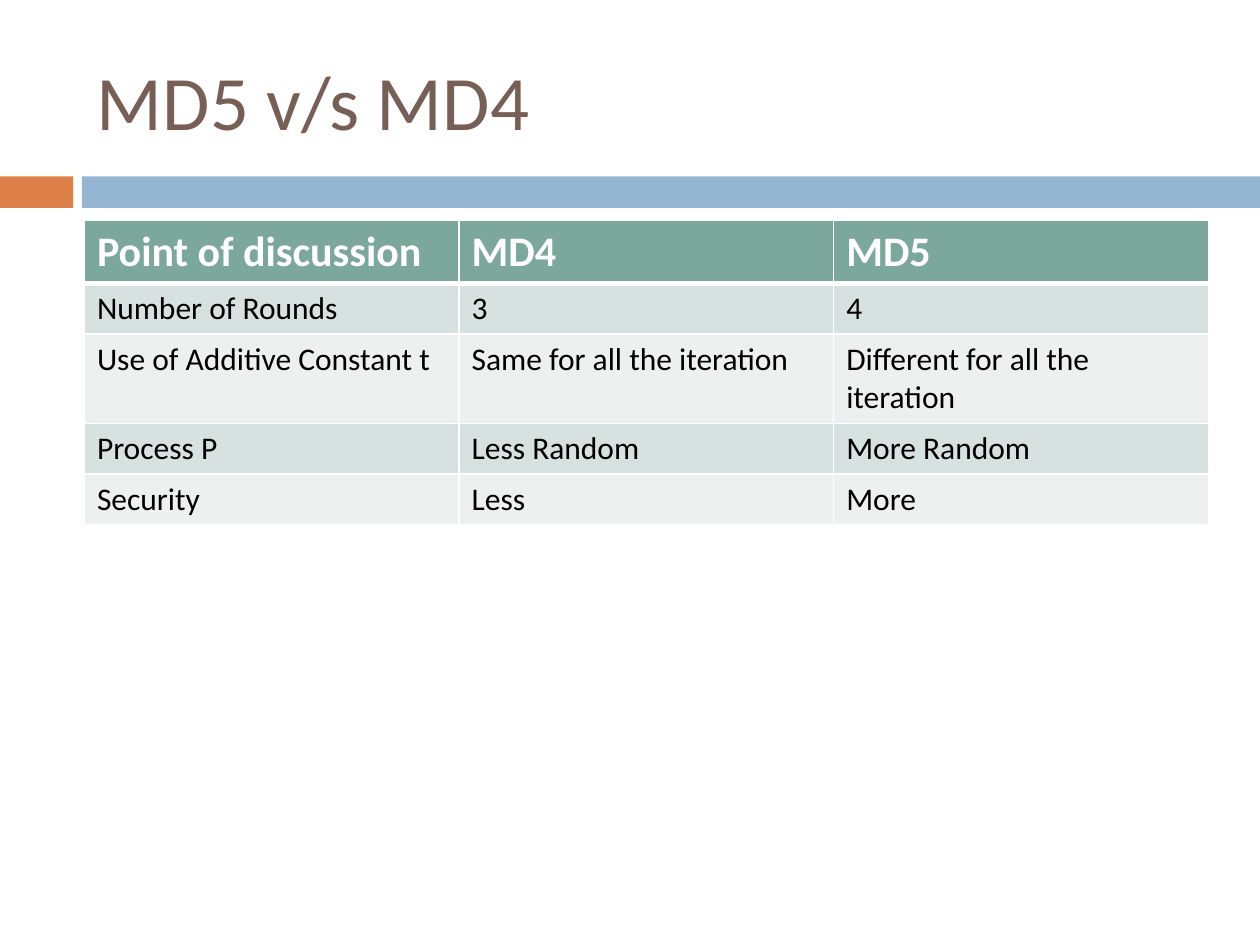
"""Build the MD5 versus MD4 comparison slide."""
from dataclasses import dataclass

from lxml.etree import SubElement
from pptx import Presentation
from pptx.dml.color import RGBColor as Rgb
from pptx.enum.shapes import MSO_SHAPE as Preset
from pptx.enum.text import MSO_ANCHOR as Anchor
from pptx.oxml.ns import qn
from pptx.slide import Slide
from pptx.table import _Cell as Cell
from pptx.text.text import TextFrame
from pptx.util import Inches, Pt

WIDTH, HEIGHT = Inches(10), Inches(7.5)
FONT = "Calibri"
COLORS = {
    "accent": "DD8047",
    "band": "94B6D2",
    "title": "775F55",
    "header": "7BA79D",
    "odd": "D7E1DF",
    "even": "ECF1EF",
    "light": "FFFFFF",
    "dark": "000000",
}
COMPARISON = [
    ("Point of discussion", "MD4", "MD5"),
    ("Number of Rounds", "3", "4"),
    ("Use of Additive Constant t", "Same for all the iteration", "Different for all the iteration"),
    ("Process P", "Less Random", "More Random"),
    ("Security", "Less", "More"),
]
ROW_INCHES = (0.5, 0.4, 0.71, 0.4, 0.4)


@dataclass(frozen=True)
class Area:
    """Hold a box as shares of the slide's size."""

    left: float
    top: float
    width: float
    height: float

    def box(self) -> tuple[int, int, int, int]:
        """Return left, top, width and height as lengths."""
        return (int(self.left * WIDTH), int(self.top * HEIGHT),
                int(self.width * WIDTH), int(self.height * HEIGHT))


@dataclass(frozen=True)
class Stripe:
    """Describe one coloured stripe below the title."""

    left: float
    width: float
    color: str


@dataclass(frozen=True)
class Style:
    """Describe the look of a run."""

    size: int
    color: str
    bold: bool = False


STRIPES = (Stripe(0, 0.058, "accent"), Stripe(0.065, 0.935, "band"))
TITLE_AREA = Area(0.067, 0.25 / 7.5, 0.892, 1.08 / 7.5)
TABLE_AREA = Area(0.067, 1.75 / 7.5, 0.892, sum(ROW_INCHES) / 7.5)


def rgb(name: str) -> Rgb:
    """Look up a named colour."""
    return Rgb.from_string(COLORS[name])


def write(frame: TextFrame, words: str, style: Style) -> None:
    """Add one styled run to the first paragraph."""
    run = frame.paragraphs[0].add_run()
    run.text = words
    run.font.name = FONT
    run.font.size = Pt(style.size)
    run.font.bold = style.bold
    run.font.color.rgb = rgb(style.color)


def draw_stripe(slide: Slide, stripe: Stripe) -> None:
    """Draw a stripe without outline or shadow."""
    area = Area(stripe.left, 1.4 / 7.5, stripe.width, 0.25 / 7.5)
    bar = slide.shapes.add_shape(Preset.RECTANGLE, *area.box())
    bar.shadow.inherit = False
    bar.fill.solid()
    bar.fill.fore_color.rgb = rgb(stripe.color)
    bar.line.fill.background()


def draw_title(slide: Slide, words: str) -> None:
    """Write the slide's heading."""
    frame = slide.shapes.add_textbox(*TITLE_AREA.box()).text_frame
    frame.word_wrap = True
    frame.vertical_anchor = Anchor.MIDDLE
    write(frame, words, Style(44, "title"))


def add_borders(cell: Cell, top: int, bottom: int) -> None:
    """Give a cell light borders of the given point widths."""
    properties = cell._tc.get_or_add_tcPr()
    for side, points in (("L", 1), ("R", 1), ("T", top), ("B", bottom)):
        border = SubElement(properties, qn(f"a:ln{side}"), w=str(Pt(points)))
        paint = SubElement(border, qn("a:solidFill"))
        SubElement(paint, qn("a:srgbClr"), val=COLORS["light"])


def draw_comparison(slide: Slide) -> None:
    """Draw the comparison table with a header and banded rows."""
    columns = len(COMPARISON[0])
    table = slide.shapes.add_table(len(COMPARISON), columns, *TABLE_AREA.box()).table
    for row, (entries, height) in enumerate(zip(COMPARISON, ROW_INCHES)):
        table.rows[row].height = Inches(height)
        is_header = row == 0
        band = "header" if is_header else ("odd" if row % 2 else "even")
        style = Style(24, "light", True) if is_header else Style(18, "dark")
        for column, words in enumerate(entries):
            cell = table.cell(row, column)
            add_borders(cell, top=3 if row == 1 else 1, bottom=3 if is_header else 1)
            cell.fill.solid()
            cell.fill.fore_color.rgb = rgb(band)
            write(cell.text_frame, words, style)


def main() -> None:
    """Assemble and save the slide."""
    deck = Presentation()
    deck.slide_width, deck.slide_height = WIDTH, HEIGHT
    slide = deck.slides.add_slide(deck.slide_layouts[6])
    for stripe in STRIPES:
        draw_stripe(slide, stripe)
    draw_title(slide, "MD5 v/s MD4")
    draw_comparison(slide)
    deck.save("out.pptx")


if __name__ == "__main__":
    main()
